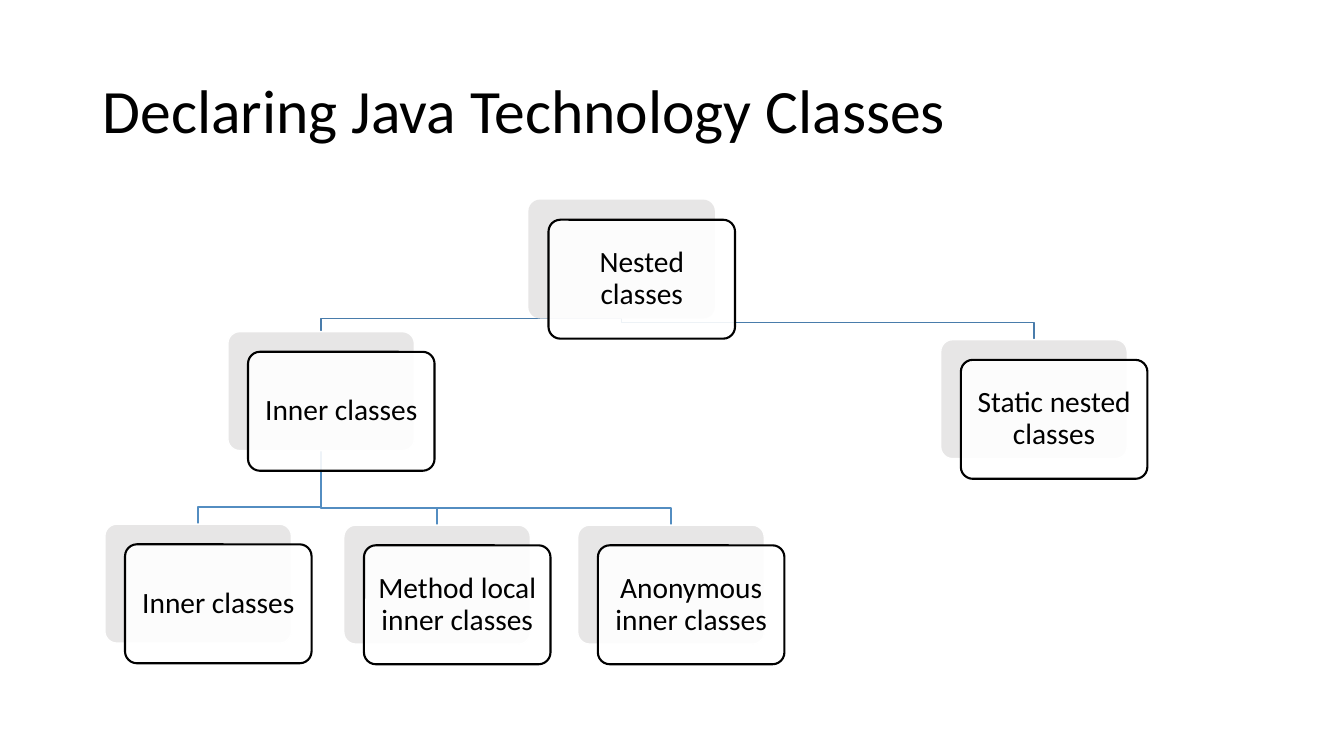
from dataclasses import dataclass
from typing import Optional

from lxml.etree import SubElement
from pptx import Presentation
from pptx.dml.color import RGBColor
from pptx.enum.shapes import MSO_SHAPE
from pptx.enum.text import MSO_ANCHOR, PP_ALIGN
from pptx.oxml.ns import qn
from pptx.util import Inches, Pt

COLORS = {
    "text": "000000",
    "outline": "000000",
    "card": "FFFFFF",
    "backing": "E7E6E6",
    "backing_edge": "FFFFFF",
    "upper_link": "497CAB",
    "lower_link": "538DC1",
}
CARD_WIDTH, CARD_HEIGHT = 1.85, 1.18
CARD_SHIFT = 0.2
LINK_DROP = 0.17


@dataclass
class ClassNode:
    label: str
    left: float
    top: float
    parent: Optional["ClassNode"] = None

    @property
    def center(self) -> float:
        return self.left + CARD_WIDTH / 2

    @property
    def bottom(self) -> float:
        return self.top + CARD_HEIGHT


def color(key: str) -> RGBColor:
    return RGBColor.from_string(COLORS[key])


def write_text(shape, text: str, *, size: float, align=PP_ALIGN.LEFT,
               margin_x: float = 0.1, margin_y: float = 0.05) -> None:
    frame = shape.text_frame
    frame.word_wrap = True
    frame.vertical_anchor = MSO_ANCHOR.MIDDLE
    frame.margin_left = frame.margin_right = Inches(margin_x)
    frame.margin_top = frame.margin_bottom = Inches(margin_y)
    paragraph = frame.paragraphs[0]
    paragraph.alignment = align
    paragraph.line_spacing = 0.9
    run = paragraph.add_run()
    run.text = text
    run.font.name = "Calibri"
    run.font.size = Pt(size)
    run.font.color.rgb = color("text")


def draw_link(slide, child: ClassNode) -> None:
    parent = child.parent
    bend = max(parent.bottom, child.top - LINK_DROP)
    corners = [(parent.center, bend), (child.center, bend), (child.center, child.top)]
    builder = slide.shapes.build_freeform(Inches(parent.center), Inches(parent.bottom))
    builder.add_line_segments([(Inches(x), Inches(y)) for x, y in corners], close=False)
    link = builder.convert_to_shape()
    link.shadow.inherit = False
    link.fill.background()
    link.line.color.rgb = color("lower_link" if parent.parent else "upper_link")
    link.line.width = Pt(1)


def draw_panel(slide, left: float, top: float, fill: str,
               edge: Optional[str], edge_width: float):
    panel = slide.shapes.add_shape(
        MSO_SHAPE.ROUNDED_RECTANGLE, Inches(left), Inches(top),
        Inches(CARD_WIDTH), Inches(CARD_HEIGHT))
    panel.adjustments[0] = 0.1
    panel.shadow.inherit = False
    panel.fill.solid()
    panel.fill.fore_color.rgb = color(fill)
    if edge:
        panel.line.color.rgb = color(edge)
        panel.line.width = Pt(edge_width)
    else:
        panel.line.fill.background()
    return panel


def draw_node(slide, node: ClassNode) -> None:
    draw_panel(slide, node.left, node.top, "backing",
               "backing_edge" if node.parent else None, 1)
    card = draw_panel(slide, node.left + CARD_SHIFT, node.top + CARD_SHIFT,
                      "card", "outline", 1.5)
    # Card fill is 90 % opaque
    fill_color = card.fill._xPr.find(qn("a:solidFill")).find(qn("a:srgbClr"))
    SubElement(fill_color, qn("a:alpha")).set("val", "90000")
    write_text(card, node.label, size=21, align=PP_ALIGN.CENTER,
               margin_x=0.08, margin_y=0.09)


# Class hierarchy
nested = ClassNode("Nested classes", 5.24, 1.98)
inner = ClassNode("Inner classes", 2.26, 3.29, nested)
static_nested = ClassNode("Static nested classes", 9.33, 3.37, nested)
nodes = [
    nested,
    inner,
    ClassNode("Inner classes", 1.04, 5.2, inner),
    ClassNode("Method local inner classes", 3.41, 5.21, inner),
    ClassNode("Anonymous inner classes", 5.73, 5.21, inner),
    static_nested,
]

presentation = Presentation()
presentation.slide_width = Inches(13.33)
presentation.slide_height = Inches(7.5)
slide = presentation.slides.add_slide(presentation.slide_layouts[6])

# Title
title = slide.shapes.add_textbox(Inches(0.92), Inches(0.4), Inches(11.5), Inches(1.45))
write_text(title, "Declaring Java Technology Classes", size=44)

# Links lie behind the cards
for node in reversed(nodes):
    if node.parent:
        draw_link(slide, node)
for node in nodes:
    draw_node(slide, node)

presentation.save("out.pptx")
